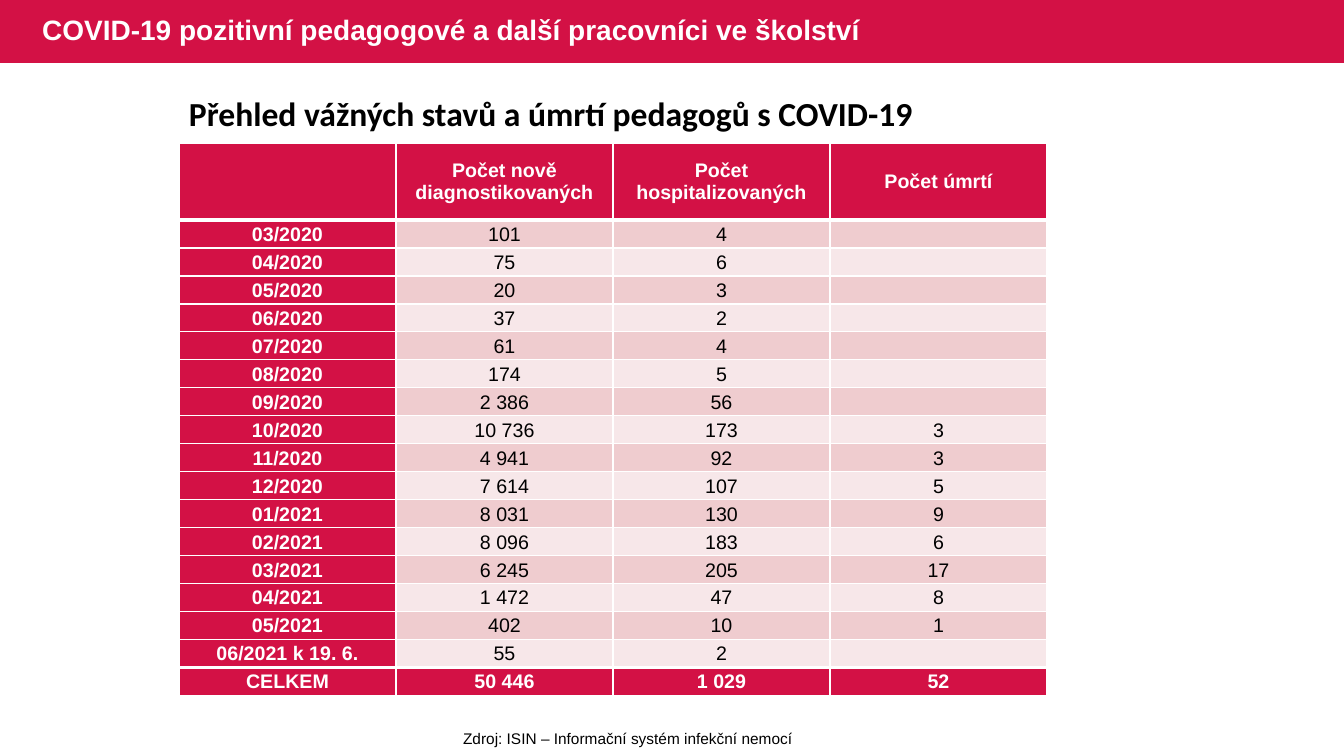
"""Builds a slide with a monthly table of COVID-19 cases among school staff."""
from lxml import etree
from pptx import Presentation
from pptx import util as u
from pptx.dml.color import RGBColor
from pptx.enum import shapes, text
from pptx.oxml import ns

CRIMSON = RGBColor(0xD3, 0x11, 0x45)
ROSE = RGBColor(0xEF, 0xCC, 0xCF)
BLUSH = RGBColor(0xF7, 0xE7, 0xE9)
WHITE = RGBColor(0xFF, 0xFF, 0xFF)
BLACK = RGBColor(0, 0, 0)

HEADINGS = ("", "Počet nově diagnostikovaných", "Počet hospitalizovaných", "Počet úmrtí")
MONTHS = [
    ("03/2020", "101", "4", ""),
    ("04/2020", "75", "6", ""),
    ("05/2020", "20", "3", ""),
    ("06/2020", "37", "2", ""),
    ("07/2020", "61", "4", ""),
    ("08/2020", "174", "5", ""),
    ("09/2020", "2 386", "56", ""),
    ("10/2020", "10 736", "173", "3"),
    ("11/2020", "4 941", "92", "3"),
    ("12/2020", "7 614", "107", "5"),
    ("01/2021", "8 031", "130", "9"),
    ("02/2021", "8 096", "183", "6"),
    ("03/2021", "6 245", "205", "17"),
    ("04/2021", "1 472", "47", "8"),
    ("05/2021", "402", "10", "1"),
    ("06/2021 k 19. 6.", "55", "2", ""),
]
TOTALS = ("CELKEM", "50 446", "1 029", "52")


def px(length):
    return u.Emu(round(length * 914400 / 100.8))


class StaffSlide:
    """Holds the slide and its style."""

    font = "Arial"

    def __init__(self, deck):
        self.slide = deck.slides.add_slide(deck.slide_layouts[5])

    def set_words(self, paragraph, words, size, color, bold=False, font=None, align=None):
        paragraph.text = words
        paragraph.alignment = align
        for run in paragraph.runs:
            run.font.name = font or self.font
            run.font.size = u.Pt(size)
            run.font.bold = bold
            run.font.color.rgb = color
        if not words:
            etree.SubElement(paragraph._p, ns.qn("a:endParaRPr"), sz=str(size * 100))

    def band(self, left, top, width, height):
        band = self.slide.shapes.add_shape(
            shapes.MSO_SHAPE.RECTANGLE, px(left), px(top), px(width), px(height))
        band.shadow.inherit = False
        band.fill.solid()
        band.fill.fore_color.rgb = CRIMSON
        band.line.fill.background()
        self.slide.shapes._spTree.insert(2, band._element)

    def title(self, words, left, top, width, height):
        title = self.slide.shapes.title
        title.left, title.top, title.width, title.height = map(px, (left, top, width, height))
        frame = title.text_frame
        frame.vertical_anchor = text.MSO_ANCHOR.MIDDLE
        frame.word_wrap = True
        self.set_words(frame.paragraphs[0], words, 20, WHITE, True, align=text.PP_ALIGN.LEFT)
        frame.paragraphs[0].line_spacing = 0.9

    def caption(self, words, left, top, width, height, size, **style):
        caption = self.slide.shapes.add_textbox(px(left), px(top), px(width), px(height))
        caption.text_frame.word_wrap = True
        self.set_words(caption.text_frame.paragraphs[0], words, size, BLACK, **style)

    def border(self, cell, above, below):
        properties = cell._tc.get_or_add_tcPr()
        for side, weight in (("L", 1), ("R", 1), ("T", above), ("B", below)):
            edge = etree.SubElement(properties, ns.qn(f"a:ln{side}"), w=str(u.Pt(weight)))
            fill = etree.SubElement(edge, ns.qn("a:solidFill"))
            etree.SubElement(fill, ns.qn("a:srgbClr"), val=str(WHITE))

    def table(self, rows, left, top, width, heading_height, row_height):
        last = len(rows) - 1
        table = self.slide.shapes.add_table(
            len(rows), len(rows[0]), px(left), px(top), px(width),
            px(heading_height + last * row_height)).table
        table.first_col = table.last_row = True
        for r, values in enumerate(rows):
            table.rows[r].height = px(row_height if r else heading_height)
            above = 3 if r in (1, last) else 1
            below = 3 if r in (0, last - 1) else 1
            for c, value in enumerate(values):
                cell = table.cell(r, c)
                strong = r in (0, last) or c == 0
                self.border(cell, above, below)
                cell.fill.solid()
                cell.fill.fore_color.rgb = CRIMSON if strong else ROSE if r % 2 else BLUSH
                cell.margin_left = cell.margin_right = cell.margin_top = px(1)
                cell.margin_bottom = 0
                cell.vertical_anchor = text.MSO_ANCHOR.MIDDLE
                self.set_words(cell.text_frame.paragraphs[0], value, 14,
                               WHITE if strong else BLACK, strong, align=text.PP_ALIGN.CENTER)


def main():
    deck = Presentation()
    deck.slide_width, deck.slide_height = px(1344), px(756)
    staff = StaffSlide(deck)
    staff.band(0, 0, 1344, 63)
    staff.title("COVID-19 pozitivní pedagogové a další pracovníci ve školství", 32, 0, 859, 63)
    staff.caption("Přehled vážných stavů a úmrtí pedagogů s COVID-19",
                  179, 88, 869, 92, 24, bold=True, font="Calibri")
    staff.caption("Zdroj: ISIN – Informační systém infekční nemocí",
                  238, 724, 780, 29, 11, align=text.PP_ALIGN.CENTER)
    staff.table([HEADINGS, *MONTHS, TOTALS], 179, 143, 868, 77, 28)
    deck.save("out.pptx")


if __name__ == "__main__":
    main()
